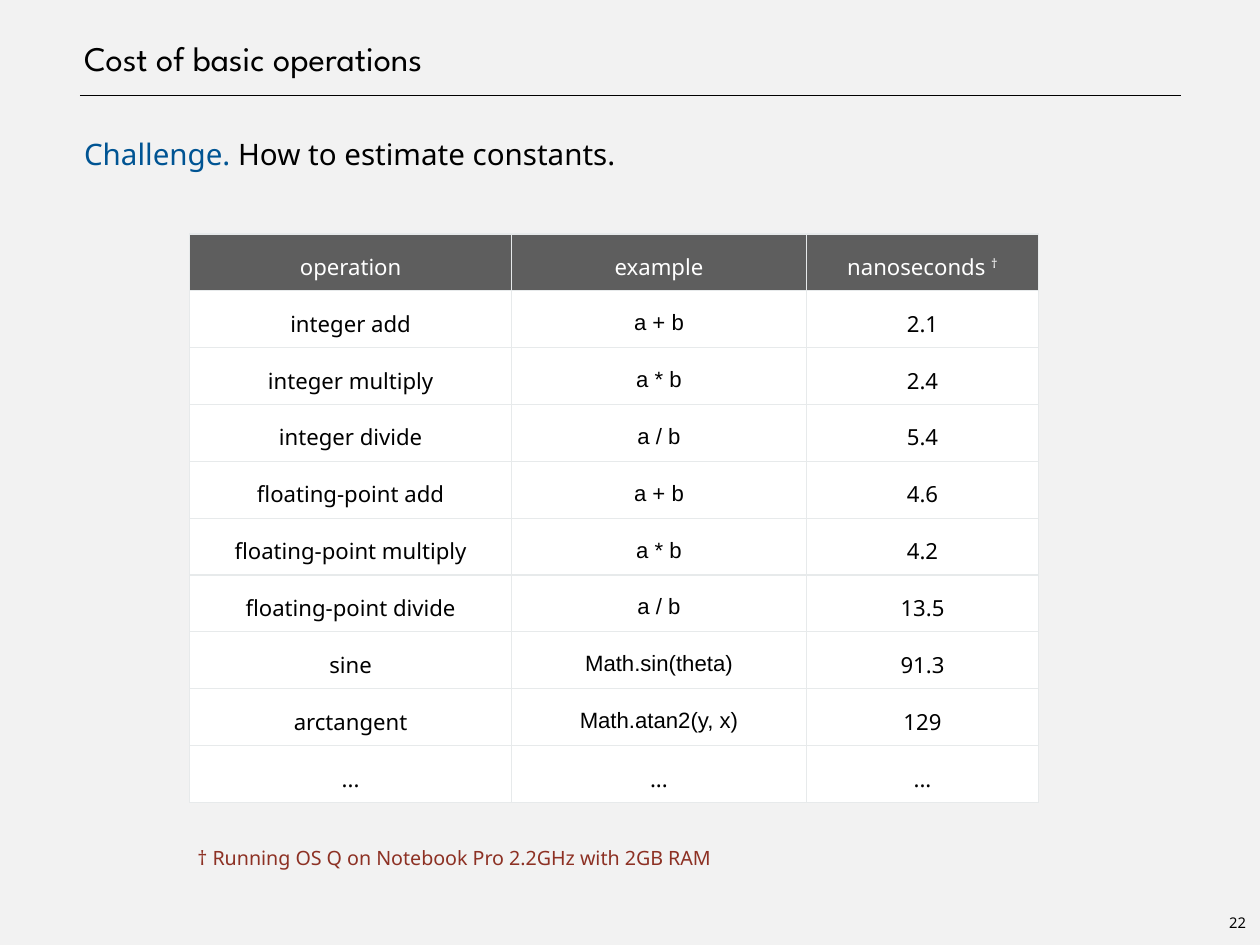
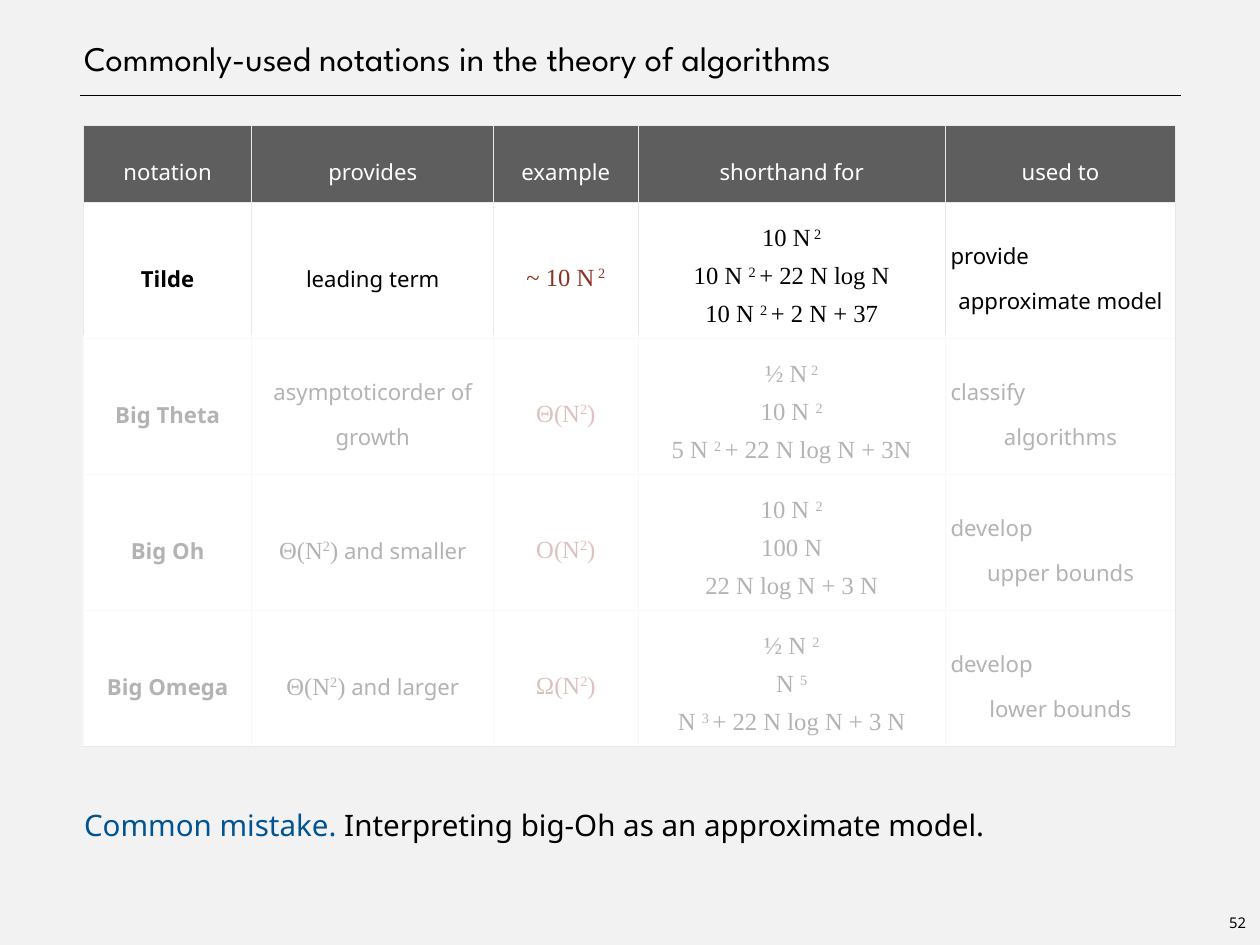
import pptx
import pptx.util
import pptx.dml.color
import pptx.enum.shapes
import pptx.enum.text
import pptx.oxml
import pptx.oxml.ns
from dataclasses import dataclass

Cm, Pt = pptx.util.Cm, pptx.util.Pt
ALIGN, ANCHOR = pptx.enum.text.PP_ALIGN, pptx.enum.text.MSO_ANCHOR

# Content: text between carets is raised
COSTS = [
    ("operation", "example", "nanoseconds ^†^"),
    ("integer add", "a + b", "2.1"),
    ("integer multiply", "a * b", "2.4"),
    ("integer divide", "a / b", "5.4"),
    ("floating-point add", "a + b", "4.6"),
    ("floating-point multiply", "a * b", "4.2"),
    ("floating-point divide", "a / b", "13.5"),
    ("sine", "Math.sin(theta)", "91.3"),
    ("arctangent", "Math.atan2(y, x)", "129"),
    ("...", "...", "..."),
]
NOTES = [
    ("notation", "provides", "example", "shorthand for", "used to"),
    ("Tilde", "leading term", "~ 10 N^ 2^",
     ["10 N^ 2^", "10 N ^2 ^+ 22 N log N", "10 N ^2 ^+ 2 N + 37"],
     ["provide", "approximate model"]),
    ("Big Theta", "asymptoticorder of growth", "Θ(N^2^)",
     ["½ N^ 2^", "10 N ^2^", "5 N ^2 ^+ 22 N log N + 3N"],
     ["classify", "algorithms"]),
    ("Big Oh", [[("math", "Θ(N^2^)"), ("cell", " and smaller")]], "O(N^2^)",
     ["10 N ^2^", "100 N", "22 N log N + 3 N"],
     ["develop", "upper bounds"]),
    ("Big Omega", [[("math", "Θ(N^2^)"), ("cell", " and larger")]], "Ω(N^2^)",
     ["½ N ^2^", "N ^5^", "N ^3 ^+ 22 N log N + 3 N"],
     ["develop", "lower bounds"]),
]


# Theme: colours and type styles (font, size, colour, bold)
@dataclass(frozen=True)
class Theme:
    back: str = "F2F2F2"
    ink: str = "000000"
    blue: str = "005493"
    red: str = "8D3124"
    white: str = "FFFFFF"
    head: str = "5E5E5E"
    grid: str = "E7EAEB"
    sans: str = "Noto Sans"
    serif: str = "Times New Roman"

    def style(self, name):
        return {
            "title": ("League Spartan", 28, self.ink, False),
            "lead": (self.sans, 24, self.blue, False),
            "body": (self.sans, 24, self.ink, False),
            "foot": (self.sans, 16, self.red, False),
            "page": (self.sans, 12, self.ink, False),
            "head": (self.sans, 18, self.white, False),
            "cell": (self.sans, 18, self.ink, False),
            "bold": (self.sans, 18, self.ink, True),
            "code": ("Arial", 18, self.ink, False),
            "math": (self.serif, 20, self.ink, False),
            "sample": (self.serif, 20, self.red, False),
        }[name]


THEME = Theme()
PAD = 0.15


def color(code):
    return pptx.dml.color.RGBColor.from_string(code)


def set_font(font, name):
    face, size, tint, bold = THEME.style(name)
    font.name, font.size, font.bold = face, Pt(size), bold
    font.color.rgb = color(tint)


def write(para, parts, align=ALIGN.LEFT, lines=None):
    """Fill a paragraph with (style, text) parts."""
    para.alignment = align
    if lines:
        para.line_spacing = lines
    base = parts[0][0]
    set_font(para.font, base)
    for name, text in parts:
        for turn, piece in enumerate(text.split("^")):
            if not piece:
                continue
            run = para.add_run()
            run.text = piece
            if name != base:
                set_font(run.font, name)
            if turn % 2:
                run.font._element.set("baseline", "30000")


def set_pads(frame, left, top, right, bottom):
    frame.margin_left, frame.margin_top = Cm(left), Cm(top)
    frame.margin_right, frame.margin_bottom = Cm(right), Cm(bottom)


def add_text(slide, place, parts, pads, wrap=True, anchor=ANCHOR.TOP, **how):
    frame = slide.shapes.add_textbox(*map(Cm, place)).text_frame
    frame.word_wrap, frame.vertical_anchor = wrap, anchor
    set_pads(frame, *pads)
    write(frame.paragraphs[0], parts, **how)


def add_lead(slide, top, lead, rest):
    add_text(slide, (2.26, top, 31.6, 1.4), [("lead", lead), ("body", rest)],
             (PAD, 0, 0, 0), lines=Pt(39))


# Tables
def add_grid(cell):
    props = cell._tc.get_or_add_tcPr()
    for side in ("lnL", "lnR", "lnT", "lnB"):
        props.append(pptx.oxml.parse_xml(
            f'<a:{side} {pptx.oxml.ns.nsdecls("a")} w="12700"><a:solidFill>'
            f'<a:srgbClr val="{THEME.grid}"/></a:solidFill></a:{side}>'))


def add_table(slide, place, rows, wides, highs, styles, lines):
    """styles gives each column its type style and line spacing."""
    table = slide.shapes.add_table(
        len(rows), len(wides), *map(Cm, place),
        Cm(sum(wides)), Cm(sum(highs))).table
    table.horz_banding = False
    for col, wide in zip(table.columns, wides):
        col.width = Cm(wide)
    for r, row in enumerate(rows):
        table.rows[r].height = Cm(highs[r])
        for c, value in enumerate(row):
            cell = table.cell(r, c)
            add_grid(cell)
            cell.fill.solid()
            cell.fill.fore_color.rgb = color(THEME.white if r else THEME.head)
            cell.vertical_anchor = ANCHOR.MIDDLE
            set_pads(cell, PAD, PAD, PAD, PAD)
            name = styles[c] if r and value != "..." else "cell" if r else "head"
            texts = value if isinstance(value, list) else [value]
            split = r and len(texts) == 2
            frame = cell.text_frame
            for n, text in enumerate(texts):
                para = frame.add_paragraph() if n else frame.paragraphs[0]
                parts = text if isinstance(text, list) else [(name, text)]
                write(para, parts,
                      ALIGN.LEFT if split and n == 0 else ALIGN.CENTER,
                      1.4 if len(texts) == 3 else lines)


def add_veil(slide, place):
    veil = slide.shapes.add_shape(
        pptx.enum.shapes.MSO_SHAPE.RECTANGLE, *map(Cm, place))
    veil.shadow.inherit = False
    veil.line.fill.background()
    veil.fill.solid()
    veil.fill.fore_color.rgb = color(THEME.white)
    tint = veil._element.spPr.find(".//" + pptx.oxml.ns.qn("a:srgbClr"))
    tint.append(pptx.oxml.parse_xml(
        f'<a:alpha {pptx.oxml.ns.nsdecls("a")} val="70000"/>'))


# Shared slide frame: title, rule and page number
def add_slide(deck, title, page):
    slide = deck.slides.add_slide(deck.slide_layouts[5])
    head = slide.shapes.title
    head.left, head.top, head.width, head.height = map(Cm, (2.26, 0, 31.6, 2.26))
    frame = head.text_frame
    frame.word_wrap, frame.vertical_anchor = True, ANCHOR.BOTTOM
    frame.auto_size = pptx.enum.text.MSO_AUTO_SIZE.NONE
    set_pads(frame, PAD, 0, 0, 0)
    write(frame.paragraphs[0], [("title", title)])

    rule = slide.shapes.add_connector(
        pptx.enum.shapes.MSO_CONNECTOR.STRAIGHT,
        *map(Cm, (2.29, 2.74, 33.86, 2.74)))
    rule.line.color.rgb, rule.line.width = color(THEME.ink), Pt(1)
    rule._element.spPr.append(pptx.oxml.parse_xml(
        f'<a:effectLst {pptx.oxml.ns.nsdecls("a")}/>'))

    add_text(slide, (35.05, 26.06, 0.86, 0.79), [("page", page)], (PAD,) * 4,
             wrap=False, anchor=ANCHOR.MIDDLE, align=ALIGN.CENTER)
    return slide


def main():
    deck = pptx.Presentation()
    deck.slide_width, deck.slide_height = Cm(36.12), Cm(27.1)
    back = deck.slide_master.background.fill
    back.solid()
    back.fore_color.rgb = color(THEME.back)

    # Cost of operations
    slide = add_slide(deck, "Cost of basic operations", "22")
    add_lead(slide, 3.53, "Challenge.", " How to estimate constants.")
    add_table(slide, (5.44, 6.71), COSTS, (9.22, 8.46, 6.65),
              [1.63] * len(COSTS), ("cell", "code", "cell"), 1.3)
    add_text(slide, (5.36, 23.77, 24.41, 0.97),
             [("foot", "† Running OS Q on Notebook Pro 2.2GHz with 2GB RAM")],
             (2 * PAD, PAD, PAD, PAD), lines=1.5)

    # Notations
    slide = add_slide(
        deck, "Commonly-used notations in the theory of algorithms", "52")
    add_table(slide, (2.39, 3.61), NOTES, (4.83, 6.93, 4.14, 8.81, 6.6),
              [2.21] + [3.9] * 4, ("bold", "cell", "sample", "math", "cell"), 1.5)
    add_veil(slide, (2.36, 9.6, 31.32, 11.79))
    add_lead(slide, 22.79, "Common mistake.",
             " Interpreting big-Oh as an approximate model.")
    deck.save("out.pptx")


if __name__ == "__main__":
    main()
